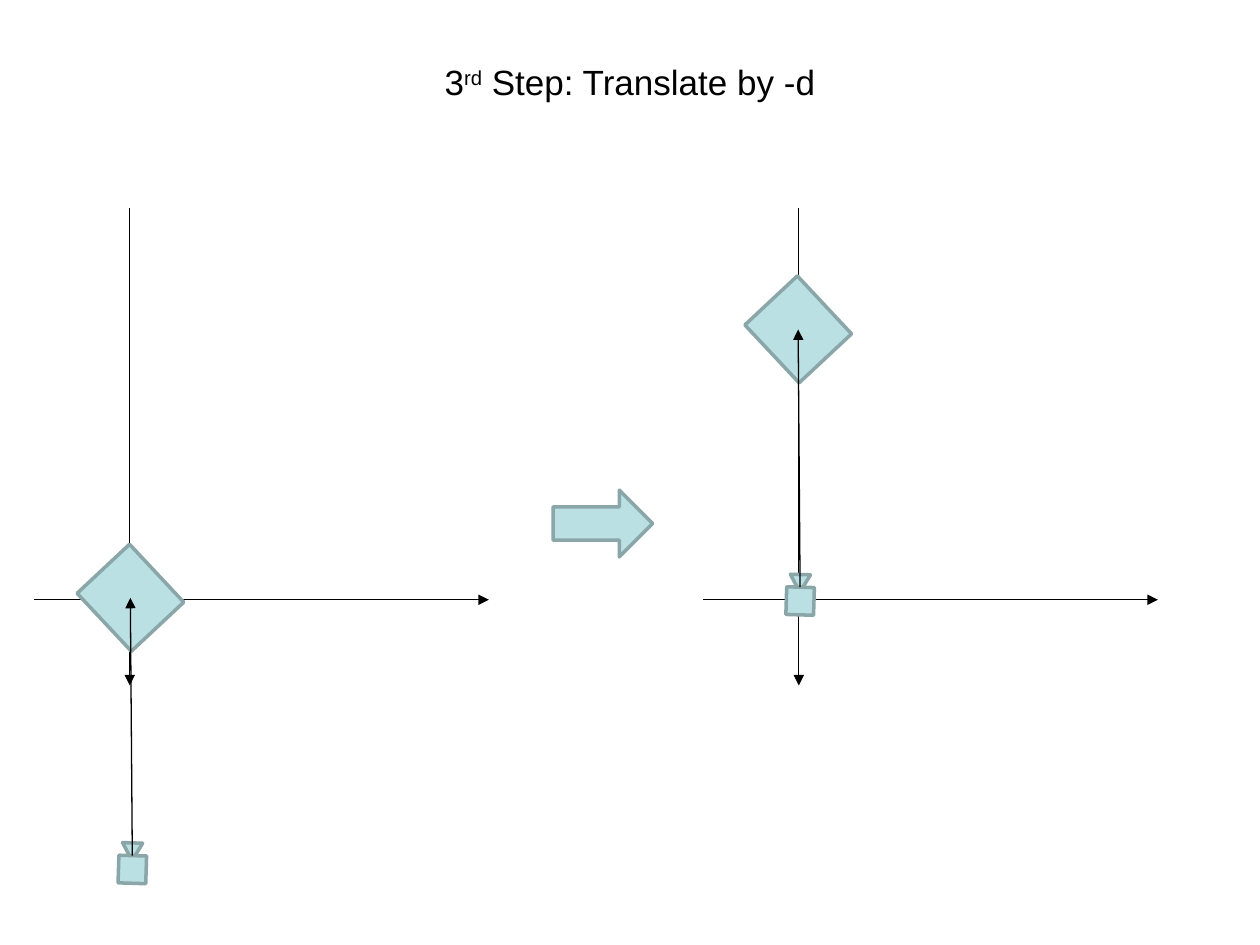
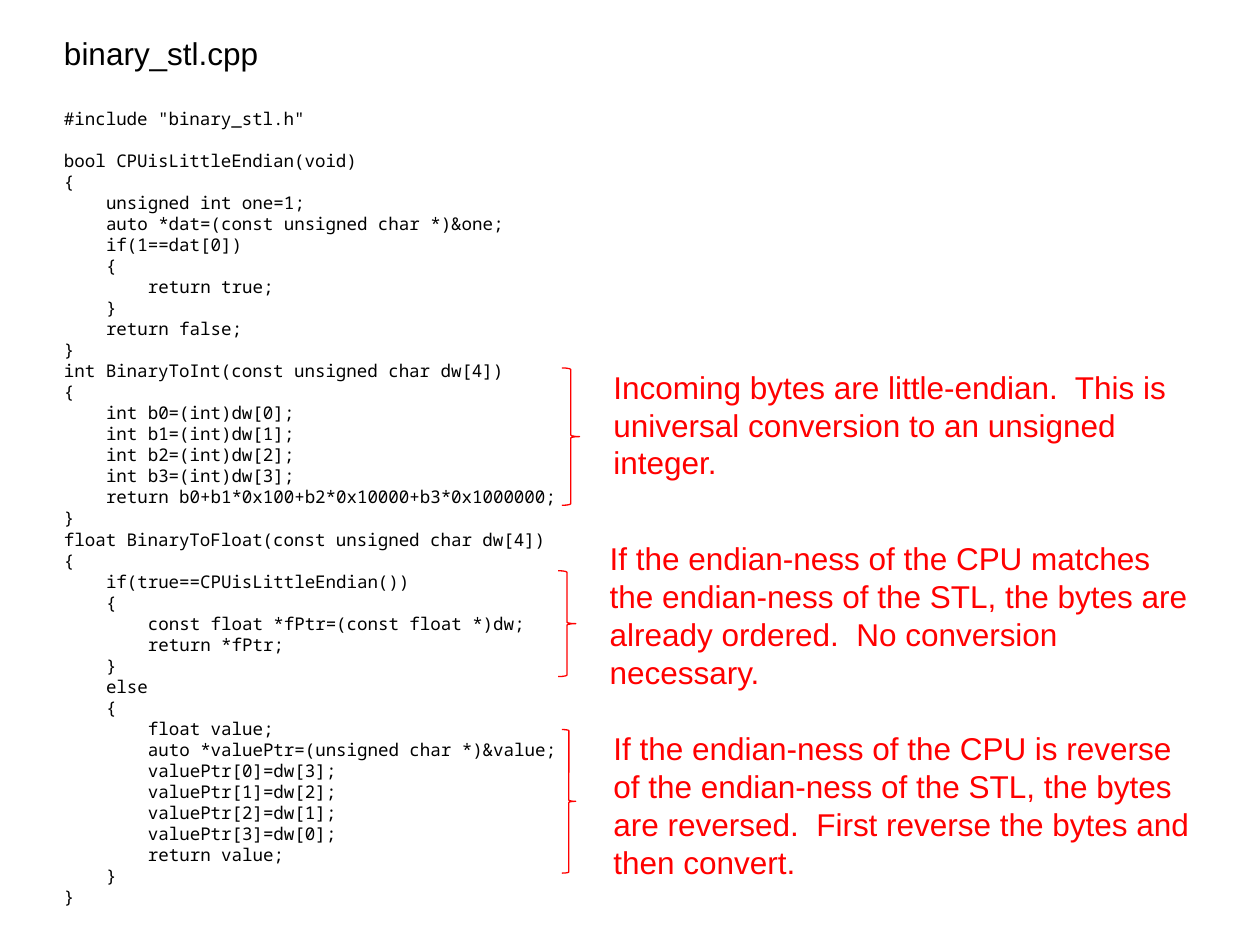
from dataclasses import dataclass

from lxml import etree
from pptx import Presentation
from pptx import util as u
from pptx.dml import color
from pptx.enum import shapes, text
from pptx.oxml import ns


@dataclass(frozen=True)
class Theme:
    """Colours, fonts and sizes shared by the slides."""
    ink: str = "000000"
    note: str = "FF0000"
    fill: str = "BBE0E3"
    edge: str = "8AA6A8"
    sans: str = "Arial"
    mono: str = "Noto Sans Mono"
    title: float = 20
    body: float = 18
    code: float = 10
    thin: float = 0.75
    thick: float = 2


T = Theme()
W, H = 10, 7.5
KIND = shapes.MSO_SHAPE

# Slide 1: the scene before and after the translation
TITLE = (("3", 0), ("rd", 30), (" Step: Translate by -d", 0))
ORIGIN = (1.03, 4.76)
AXIS_REACH = dict(left=0.76, right=2.85, up=3.11, down=0.68)
CUBE = (1.035, 4.745)
CAMERA = (1.05, 6.9)
CUBE_TURN, CAMERA_TURN = 46.9, 181.7
SCENES = (  # shift of the axes, shift of the cube and camera
    ((0, 0), (0, 0)),
    ((5.31, 0), (5.3, -2.13)),
)
STEP_ARROW = (4.39, 3.89, 0.79, 0.53)

# Slide 2: listing and its notes
FILE_NAME = "binary_stl.cpp"
CODE = """
#include "binary_stl.h"

bool CPUisLittleEndian(void)
{
    unsigned int one=1;
    auto *dat=(const unsigned char *)&one;
    if(1==dat[0])
    {
        return true;
    }
    return false;
}
int BinaryToInt(const unsigned char dw[4])
{
    int b0=(int)dw[0];
    int b1=(int)dw[1];
    int b2=(int)dw[2];
    int b3=(int)dw[3];
    return b0+b1*0x100+b2*0x10000+b3*0x1000000;
}
float BinaryToFloat(const unsigned char dw[4])
{
    if(true==CPUisLittleEndian())
    {
        const float *fPtr=(const float *)dw;
        return *fPtr;
    }
    else
    {
        float value;
        auto *valuePtr=(unsigned char *)&value;
        valuePtr[0]=dw[3];
        valuePtr[1]=dw[2];
        valuePtr[2]=dw[1];
        valuePtr[3]=dw[0];
        return value;
    }
}"""
CODE_BOX = (0.41, 0.22, 4.16, 7.1)
NOTE_WIDTH = 4.84
NOTES = (  # brace box, note left, top and height, note
    ((4.46, 2.92, 0.14, 1.09), (4.77, 2.87, 1.01),
     "Incoming bytes are little-endian.  This is universal conversion to an "
     "unsigned integer."),
    ((4.43, 4.53, 0.14, 0.84), (4.74, 4.23, 1.31),
     "If the endian-ness of the CPU matches the endian-ness of the STL, the "
     "bytes are already ordered.  No conversion necessary."),
    ((4.46, 5.79, 0.11, 1.14), (4.77, 5.74, 1.31),
     "If the endian-ness of the CPU is reverse of the endian-ness of the STL, "
     "the bytes are reversed.  First reverse the bytes and then convert."),
)


def inches(*values):
    """Turn numbers into lengths."""
    return [u.Inches(v) for v in values]


def rgb(code):
    """Turn a hex code into a colour."""
    return color.RGBColor.from_string(code)


def write(p, words, size=T.body, font=T.sans, ink=T.ink, raised=0):
    """Add one formatted run to a paragraph."""
    r = p.add_run()
    r.text = words
    r.font.size, r.font.name = u.Pt(size), font
    r.font.color.rgb = rgb(ink)
    if raised:
        r.font._element.set("baseline", str(raised * 1000))


def text_box(s, box):
    """Add a wrapping text box and return its text frame."""
    tf = s.shapes.add_textbox(*inches(*box)).text_frame
    tf.word_wrap = True
    tf.auto_size = text.MSO_AUTO_SIZE.SHAPE_TO_FIT_TEXT
    return tf


def arrow(parent, start, end):
    """Draw a thin line with an arrowhead at its end."""
    line = parent.shapes.add_connector(
        shapes.MSO_CONNECTOR.STRAIGHT, *inches(*start, *end))
    line.line.color.rgb, line.line.width = rgb(T.ink), u.Pt(T.thin)
    etree.SubElement(line.line._get_or_add_ln(), ns.qn("a:tailEnd"),
                     type="triangle")
    etree.SubElement(line._element.spPr, ns.qn("a:effectLst"))


def shape(parent, kind, box, fill=T.fill, edge=T.edge, width=T.thick, turn=0):
    """Draw a preset shape; without a fill it is an outline only."""
    sp = parent.shapes.add_shape(kind, *inches(*box))
    sp.shadow.inherit = False
    sp.rotation = turn
    if fill:
        sp.fill.solid()
        sp.fill.fore_color.rgb = rgb(fill)
    else:
        sp.fill.background()
    sp.line.color.rgb, sp.line.width = rgb(edge), u.Pt(width)


def centred(centre, width, height):
    """Return the box of a given size around a centre."""
    return centre[0] - width / 2, centre[1] - height / 2, width, height


def moved(point, shift):
    """Return a point moved by a shift."""
    return point[0] + shift[0], point[1] + shift[1]


def scene(s, axes_shift, model_shift):
    """Draw the axes, the cube, the camera and the arrow between them."""
    x, y = moved(ORIGIN, axes_shift)
    arrow(s, (x - AXIS_REACH["left"], y), (x + AXIS_REACH["right"], y))
    arrow(s, (x, y - AXIS_REACH["up"]), (x, y + AXIS_REACH["down"]))

    model = s.shapes.add_group_shape()
    cube, camera = moved(CUBE, model_shift), moved(CAMERA, model_shift)
    lens = moved(camera, (0, -0.14))
    shape(model, KIND.RECTANGLE, centred(cube, 0.63, 0.57), turn=CUBE_TURN)
    shape(model, KIND.ISOSCELES_TRIANGLE, centred(lens, 0.16, 0.14),
          turn=CAMERA_TURN)
    shape(model, KIND.RECTANGLE, centred(camera, 0.22, 0.22), turn=CAMERA_TURN)
    arrow(model, moved(camera, (0, -0.11)), cube)


def translate_slide(prs):
    """Build the slide on the translation step."""
    s = prs.slides.add_slide(prs.slide_layouts[5])
    title = s.shapes.title
    title.left, title.top, title.width, title.height = inches(
        0.05 * W, 0.04 * H, 0.9 * W, 0.7)
    tf = title.text_frame
    tf.vertical_anchor = text.MSO_ANCHOR.MIDDLE
    p = tf.paragraphs[0]
    p.alignment = text.PP_ALIGN.CENTER
    for words, raised in TITLE:
        write(p, words, size=T.title, raised=raised)
    for shifts in SCENES:
        scene(s, *shifts)
    shape(s, KIND.RIGHT_ARROW, STEP_ARROW)


def code_slide(prs):
    """Build the slide with the listing and the notes beside it."""
    s = prs.slides.add_slide(prs.slide_layouts[6])
    tf = text_box(s, CODE_BOX)
    write(tf.paragraphs[0], FILE_NAME)
    gap = 0
    for row, line in enumerate(CODE.split("\n")):
        words = line.lstrip()
        if not words:  # an empty line becomes space before the next one
            gap = T.code * 1.2 if row else T.body * 1.15
            continue
        p = tf.add_paragraph()
        p.space_before = u.Pt(gap)
        gap = 0
        indent = (len(line) - len(words)) * 0.6 * T.code
        p._p.get_or_add_pPr().set("marL", str(u.Pt(indent)))
        write(p, words, size=T.code, font=T.mono)
    for brace, (left, top, height), words in NOTES:
        shape(s, KIND.RIGHT_BRACE, brace, fill=None, edge=T.note, width=T.thin)
        note = text_box(s, (left, top, NOTE_WIDTH, height))
        write(note.paragraphs[0], words, ink=T.note)


prs = Presentation()
prs.slide_width, prs.slide_height = inches(W, H)
translate_slide(prs)
code_slide(prs)
prs.save("out.pptx")
